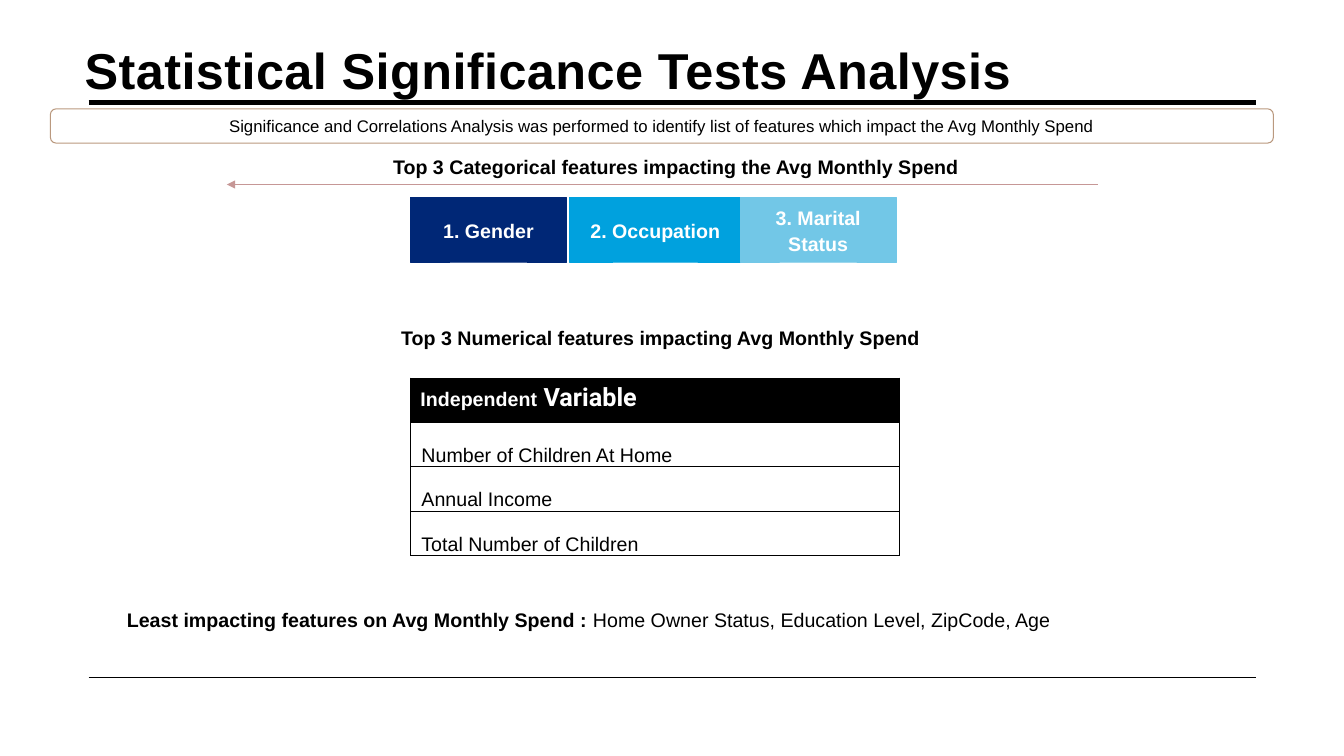
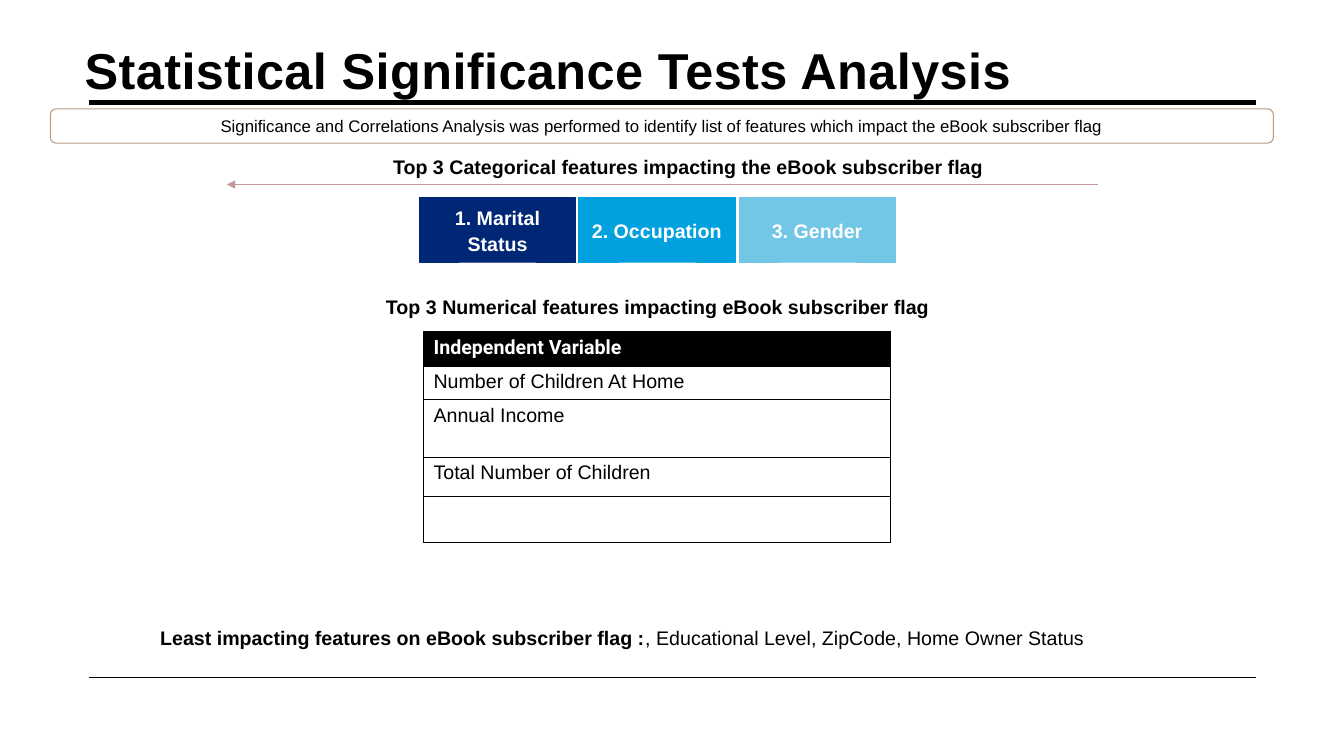
"""Build two slides on the features that drive spend and subscription."""
import dataclasses
import typing

import lxml.etree
import pptx
import pptx.dml.color
import pptx.enum.shapes
import pptx.enum.text
import pptx.oxml.ns
import pptx.util

Inches = pptx.util.Inches
Pt = pptx.util.Pt
Align = pptx.enum.text.PP_ALIGN
Anchor = pptx.enum.text.MSO_ANCHOR
Preset = pptx.enum.shapes.MSO_SHAPE

BLACK, WHITE, TAN, ROSE = "000000", "FFFFFF", "BA997F", "C69796"
BLUES = ("002776", "00A1DE", "72C7E7")
TITLE = "Statistical Significance Tests Analysis"
LEAD = ("Significance and Correlations Analysis was performed to identify "
        "list of features which impact the ")


class Run(typing.NamedTuple):
    """A piece of text with its format."""
    text: str
    size: float = 14
    bold: bool = False
    color: str = BLACK
    face: str = "Arial"


class Box(typing.NamedTuple):
    """A place on the slide in inches."""
    left: float
    top: float
    width: float
    height: float

    def place(self) -> tuple:
        """Give the place as lengths."""
        return tuple(Inches(side) for side in self)


class Chip(typing.NamedTuple):
    """A ranked feature on the coloured strip."""
    text: str
    left: float
    width: float = 1.55


@dataclasses.dataclass
class Grid:
    """A one-column table with a black header."""
    box: Box
    rows: list[float]
    head: list[Run]
    body: list[str]
    look: dict


@dataclasses.dataclass
class Page:
    """All that differs between the slides."""
    target: str
    chips: list[Chip]
    label: Run
    spot: Box
    grid: Grid
    note: list[Run]
    foot: Box


def rgb(code: str) -> pptx.dml.color.RGBColor:
    """Turn a hex string into a colour."""
    return pptx.dml.color.RGBColor.from_string(code)


def apply(thing: typing.Any, look: dict) -> None:
    """Set each format value on an object."""
    for name, value in look.items():
        setattr(thing, name, value)


def write(frame: typing.Any, runs: list[Run], look: dict | None = None) -> None:
    """Fill the first paragraph of a frame with runs."""
    para = frame.paragraphs[0]
    apply(para, look or {})
    for item in runs:
        run = para.add_run()
        run.text = item.text
        apply(run.font, {"size": Pt(item.size), "bold": item.bold, "name": item.face})
        run.font.color.rgb = rgb(item.color)


def label(slide: typing.Any, box: Box, runs: list[Run]) -> None:
    """Add a plain text box."""
    frame = slide.shapes.add_textbox(*box.place()).text_frame
    frame.word_wrap = True
    write(frame, runs)


def panel(slide: typing.Any, kind: typing.Any, box: Box, run: Run,
          edge: str, width: float, fill: str | None = None) -> None:
    """Add a shape with centred text."""
    shape = slide.shapes.add_shape(kind, *box.place())
    shape.shadow.inherit = False
    if fill:
        shape.fill.solid()
        shape.fill.fore_color.rgb = rgb(fill)
    else:
        shape.fill.background()
    shape.line.color.rgb = rgb(edge)
    shape.line.width = Pt(width)
    apply(shape.text_frame, {"word_wrap": True, "vertical_anchor": Anchor.MIDDLE})
    look = {"alignment": Align.CENTER}
    if fill:
        look["line_spacing"] = 1.1
    write(shape.text_frame, [run], look)


def rule(slide: typing.Any, start: float, end: float, top: float,
         color: str, width: float, arrow: bool = False) -> None:
    """Draw a level line, with an arrowhead at its end if asked."""
    line = slide.shapes.add_connector(
        pptx.enum.shapes.MSO_CONNECTOR.STRAIGHT,
        Inches(start), Inches(top), Inches(end), Inches(top))
    line.line.color.rgb = rgb(color)
    line.line.width = Pt(width)
    qn = pptx.oxml.ns.qn
    props = line._element.spPr
    if arrow:
        lxml.etree.SubElement(props.find(qn("a:ln")), qn("a:tailEnd"), type="triangle")
    lxml.etree.SubElement(props, qn("a:effectLst"))


def border(cell: typing.Any) -> None:
    """Give a cell thin black edges."""
    qn = pptx.oxml.ns.qn
    props = cell._tc.get_or_add_tcPr()
    for side in ("lnL", "lnR", "lnT", "lnB"):
        edge = lxml.etree.SubElement(props, qn("a:" + side), w=str(Pt(0.5)))
        fill = lxml.etree.SubElement(edge, qn("a:solidFill"))
        lxml.etree.SubElement(fill, qn("a:srgbClr"), val=BLACK)


def table(slide: typing.Any, grid: Grid) -> None:
    """Add the table of numeric features."""
    sheet = slide.shapes.add_table(len(grid.rows), 1, *grid.box.place()).table
    sheet.horz_banding = False
    lines = [grid.head] + [[Run(text)] if text else [] for text in grid.body]
    for index, (height, runs) in enumerate(zip(grid.rows, lines)):
        sheet.rows[index].height = Inches(height)
        cell = sheet.cell(index, 0)
        border(cell)
        cell.fill.solid()
        cell.fill.fore_color.rgb = rgb(WHITE if index else BLACK)
        if index:
            apply(cell, grid.look)
        write(cell.text_frame, runs)


def frame(deck: typing.Any) -> typing.Any:
    """Add a slide with the shared title and rules."""
    slide = deck.slides.add_slide(deck.slide_layouts[5])
    rule(slide, 0.88, 12.46, 1.02, BLACK, 3.5)
    rule(slide, 0.88, 12.46, 6.72, BLACK, 1)
    title = slide.shapes.title
    spot = zip(("left", "top", "width", "height"), Box(0.74, 0.27, 11, 0.43).place())
    apply(title, dict(spot))
    apply(title.text_frame, {
        "auto_size": pptx.enum.text.MSO_AUTO_SIZE.NONE, "word_wrap": True,
        "vertical_anchor": Anchor.TOP, "margin_top": Inches(0.12), "margin_bottom": 0})
    write(title.text_frame, [Run(TITLE, 36, True)], {"alignment": Align.LEFT})
    title.text_frame.paragraphs[0].runs[0]._r.get_or_add_rPr().set("spc", "30")
    return slide


def build(deck: typing.Any, page: Page) -> None:
    """Draw one page."""
    slide = frame(deck)
    panel(slide, Preset.ROUNDED_RECTANGLE, Box(0.5, 1.08, 12.13, 0.34),
          Run(LEAD + page.target, 12), TAN, 0.75)
    for chip, blue in zip(page.chips, BLUES):
        panel(slide, Preset.RECTANGLE, Box(chip.left, 1.96, chip.width, 0.64),
              Run(chip.text, bold=True, color=WHITE), blue, 0.5, blue)
    label(slide, Box(3.8, 1.49, 6.26, 0.34),
          [Run("Top 3 Categorical features impacting the " + page.target, bold=True)])
    rule(slide, 10.89, 2.25, 1.83, ROSE, 0.5, True)
    label(slide, page.spot, [page.label])
    label(slide, page.foot, page.note)
    table(slide, page.grid)


FACTS = ["Number of Children At Home", "Annual Income", "Total Number of Children"]
SPEND, FLAG = "Avg Monthly Spend", "eBook subscriber flag"
PAGES = [
    Page(
        SPEND,
        [Chip("1. Gender", 4.07), Chip("2. Occupation", 5.65, 1.7),
         Chip("3. Marital Status", 7.34)],
        Run("Top 3 Numerical features impacting " + SPEND, bold=True),
        Box(3.88, 3.18, 5.87, 0.34),
        Grid(Box(4.07, 3.75, 4.85, 1.76), [0.44] * 4,
             [Run("Independent", 14, True, WHITE),
              Run(" Variable", 18, True, WHITE, "Roboto")],
             FACTS, {"vertical_anchor": Anchor.BOTTOM, "margin_left": Inches(0.11),
                     "margin_top": Inches(0.01), "margin_bottom": 0}),
        [Run(f"Least impacting features on {SPEND} : ", bold=True),
         Run("Home Owner Status, Education Level, ZipCode, Age")],
        Box(1.16, 5.98, 11.74, 0.57)),
    Page(
        FLAG,
        [Chip("1. Marital Status", 4.16), Chip("2. Occupation", 5.74),
         Chip("3. Gender", 7.33)],
        Run("Top 3 Numerical features impacting " + FLAG, bold=True),
        Box(3.73, 2.88, 5.87, 0.34),
        Grid(Box(4.2, 3.29, 4.63, 2.09), [0.34, 0.33, 0.57, 0.39, 0.46],
             [Run("Independent Variable", 14, True, WHITE, "Roboto")],
             FACTS + [""], {}),
        [Run(f"Least impacting features on {FLAG} :", bold=True),
         Run(", Educational Level, ZipCode, Home Owner Status")],
        Box(1.49, 6.16, 11.04, 0.34)),
]


def main() -> None:
    """Build and save the deck."""
    deck = pptx.Presentation()
    apply(deck, {"slide_width": Inches(13.33), "slide_height": Inches(7.5)})
    for page in PAGES:
        build(deck, page)
    deck.save("out.pptx")


if __name__ == "__main__":
    main()
